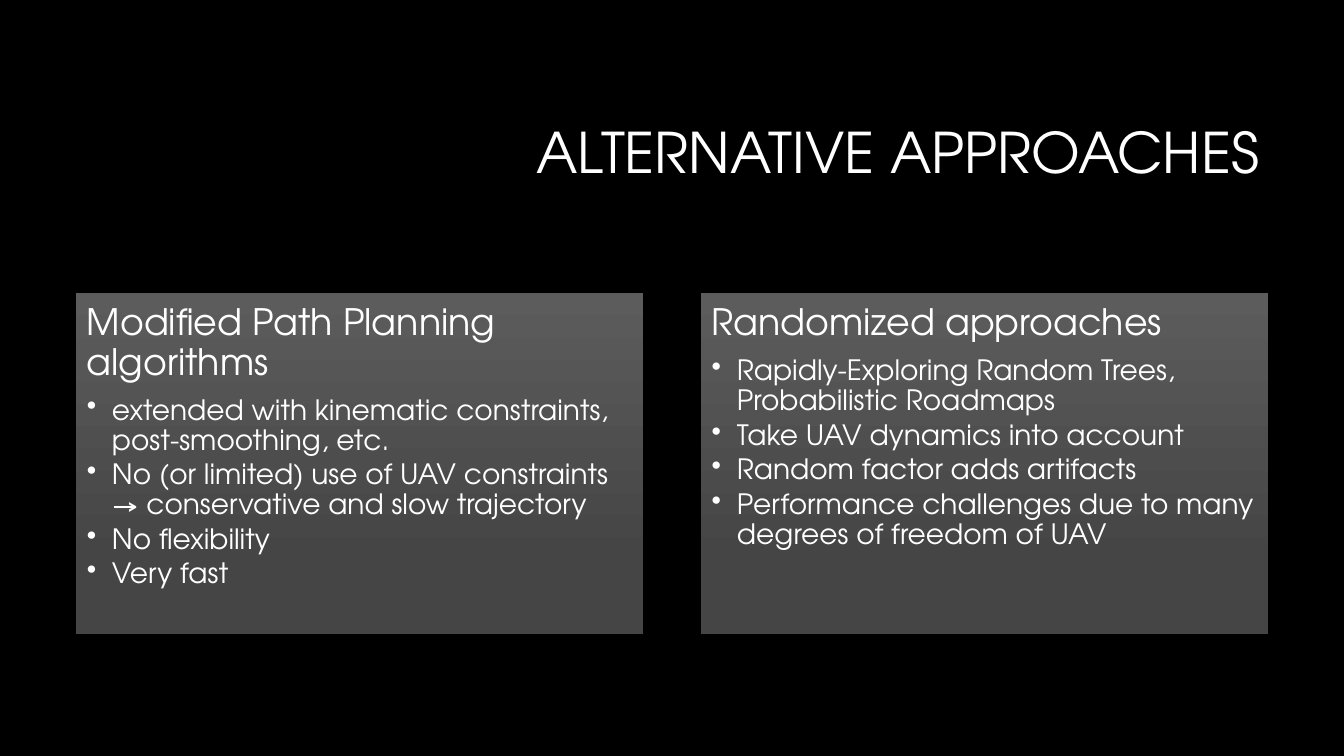
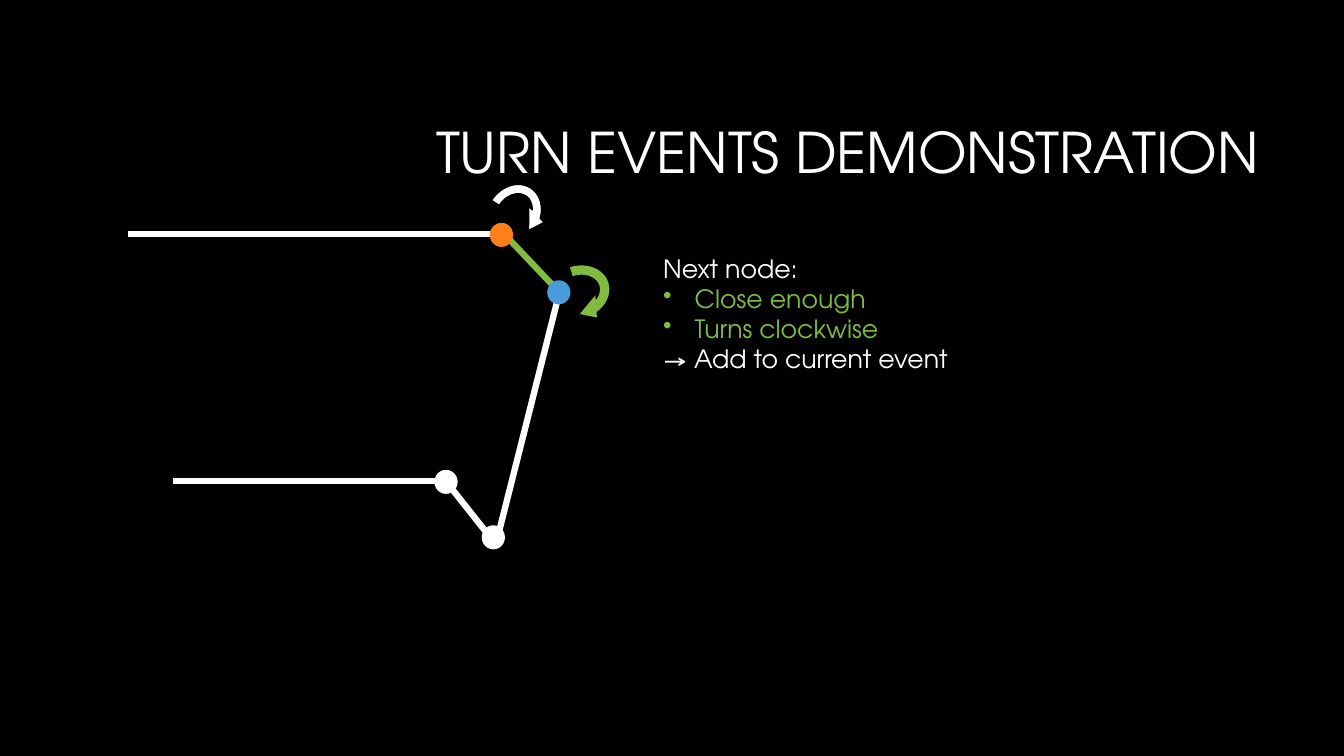
from lxml import etree
from pptx import Presentation
from pptx.dml.color import RGBColor
from pptx.enum.shapes import MSO_CONNECTOR, MSO_SHAPE
from pptx.enum.text import MSO_ANCHOR, MSO_AUTO_SIZE, PP_ALIGN
from pptx.oxml.ns import qn
from pptx.util import Pt

STRAIGHT = MSO_CONNECTOR.STRAIGHT
RECTANGLE, OVAL, TURN = MSO_SHAPE.RECTANGLE, MSO_SHAPE.OVAL, MSO_SHAPE.CIRCULAR_ARROW
LEFT, RIGHT = PP_ALIGN.LEFT, PP_ALIGN.RIGHT
TOP, MIDDLE = MSO_ANCHOR.TOP, MSO_ANCHOR.MIDDLE
GROW = MSO_AUTO_SIZE.SHAPE_TO_FIT_TEXT

FONT = "TeX Gyre Adventor"
COLORS = {
    "black": "000000",
    "white": "FFFFFF",
    "panel_top": "5C5C5C",
    "panel_bottom": "454545",
    "green": "81BB42",
    "blue": "4A9BDC",
    "orange": "FE801A",
}
TURN_ADJUSTMENTS = (0.142, 28.63, 195.71, 108, 0.17)


def rgb(name):
    return RGBColor.from_string(COLORS[name])


class Deck:
    """Hold the shared style and draw elements on the current slide."""

    def __init__(self):
        self.presentation = Presentation()
        self.presentation.slide_width = Pt(960)
        self.presentation.slide_height = Pt(540)
        self.slide = None

    def add_slide(self, title):
        layout = self.presentation.slide_layouts[6]
        self.slide = self.presentation.slides.add_slide(layout)
        background = self.slide.background.fill
        background.solid()
        background.fore_color.rgb = rgb("black")
        frame = self.text_box(228.2, 60.5, 678.2, 101.5)
        frame.vertical_anchor = MIDDLE
        frame.text = title
        self.style(frame.paragraphs[0], 40, align=RIGHT, line_spacing=0.9)

    def text_box(self, left, top, width, height):
        box = self.slide.shapes.add_textbox(Pt(left), Pt(top), Pt(width), Pt(height))
        box.text_frame.word_wrap = True
        return box.text_frame

    def style(self, paragraph, size, color="white", align=LEFT,
              line_spacing=None, after=0, indent=0):
        paragraph.alignment = align
        paragraph.line_spacing = line_spacing
        paragraph.space_after = Pt(after)
        for run in paragraph.runs:
            run.font.name = FONT
            run.font.size = Pt(size)
            run.font.color.rgb = rgb(color)
        if indent:
            properties = paragraph._p.get_or_add_pPr()
            properties.set("marL", str(Pt(indent)))
            properties.set("indent", str(-Pt(indent)))
            etree.SubElement(properties, qn("a:buChar")).set("char", "•")

    def shape(self, kind, left, top, width, height, color=None):
        shape = self.slide.shapes.add_shape(kind, Pt(left), Pt(top), Pt(width), Pt(height))
        shape.shadow.inherit = False
        shape.line.fill.background()
        if color:
            shape.fill.solid()
            shape.fill.fore_color.rgb = rgb(color)
        return shape

    def panel(self, left, heading, bullets):
        panel = self.shape(RECTANGLE, left, 209.5, 405.4, 243.4)
        panel.fill.gradient()
        panel.fill.gradient_angle = 270
        stops = zip(panel.fill.gradient_stops, (0, 0.78), ("panel_top", "panel_bottom"))
        for stop, position, color in stops:
            stop.position = position
            stop.color.rgb = rgb(color)
        frame = panel.text_frame
        frame.word_wrap = True
        frame.vertical_anchor = TOP
        frame.margin_left = frame.margin_right = Pt(8)
        frame.margin_top = frame.margin_bottom = Pt(8)
        frame.text = "\n".join([heading, *bullets])
        first, *rest = frame.paragraphs
        self.style(first, 26, line_spacing=0.9, after=9.1)
        for paragraph in rest:
            self.style(paragraph, 20, line_spacing=0.9, after=3, indent=18)

    def segment(self, start, end, color):
        line = self.slide.shapes.add_connector(STRAIGHT, *map(Pt, (*start, *end)))
        line.line.width = Pt(4.5)
        line.line.color.rgb = rgb(color)
        etree.SubElement(line._element.spPr, qn("a:effectLst"))

    def node(self, x, y, color):
        width, height = 16.6, 17.2
        self.shape(OVAL, x - width / 2, y - height / 2, width, height, color)

    def turn_arrow(self, left, top, rotation, color):
        arrow = self.shape(TURN, left, top, 46.8, 54.7, color)
        arrow.rotation = rotation
        for index, value in enumerate(TURN_ADJUSTMENTS):
            arrow.adjustments[index] = value
        return arrow

    def note(self, left, top, width, height, lines):
        frame = self.text_box(left, top, width, height)
        frame.auto_size = GROW
        frame.text = "\n".join(text for text, color, indent in lines)
        for paragraph, (text, color, indent) in zip(frame.paragraphs, lines):
            self.style(paragraph, 18, color, indent=indent)


def add_approaches(deck):
    deck.add_slide("ALTERNATIVE APPROACHES")
    deck.panel(54, "Modified Path Planning algorithms", [
        "extended with kinematic constraints, post-smoothing, etc.",
        "No (or limited) use of UAV constraints → conservative and slow trajectory",
        "No flexibility",
        "Very fast",
    ])
    deck.panel(500.4, "Randomized approaches", [
        "Rapidly-Exploring Random Trees, Probabilistic Roadmaps",
        "Take UAV dynamics into account",
        "Random factor adds artifacts",
        "Performance challenges due to many degrees of freedom of UAV",
    ])


def add_turn_events(deck):
    deck.add_slide("TURN EVENTS DEMONSTRATION")
    route = [(91.4, 167), (360, 167), (399.6, 208.8),
             (354.2, 388.8), (318.2, 343.4), (123.8, 343.4)]
    segment_colors = ["white", "green", "white", "white", "white"]
    for start, end, color in zip(route, route[1:], segment_colors):
        deck.segment(start, end, color)

    nodes = [(399.2, 208.8, "blue"), (352.4, 383.8, "white"),
             (318.6, 344.2, "white"), (358.2, 167.8, "orange")]
    for x, y, color in nodes:
        deck.node(x, y, color)

    current_turn = deck.turn_arrow(343.4, 126, 32.9, "white")
    current_turn.line.color.rgb = rgb("black")
    current_turn.line.width = Pt(1)
    deck.turn_arrow(389.5, 181.4, 71.9, "green")

    deck.note(466.6, 177.1, 235.4, 94.3, [
        ("Next node:", "white", 0),
        ("Close enough", "green", 22.5),
        ("Turns clockwise", "green", 22.5),
        ("→ Add to current event", "white", 0),
    ])


def main():
    deck = Deck()
    add_approaches(deck)
    add_turn_events(deck)
    deck.presentation.save("out.pptx")


if __name__ == "__main__":
    main()
